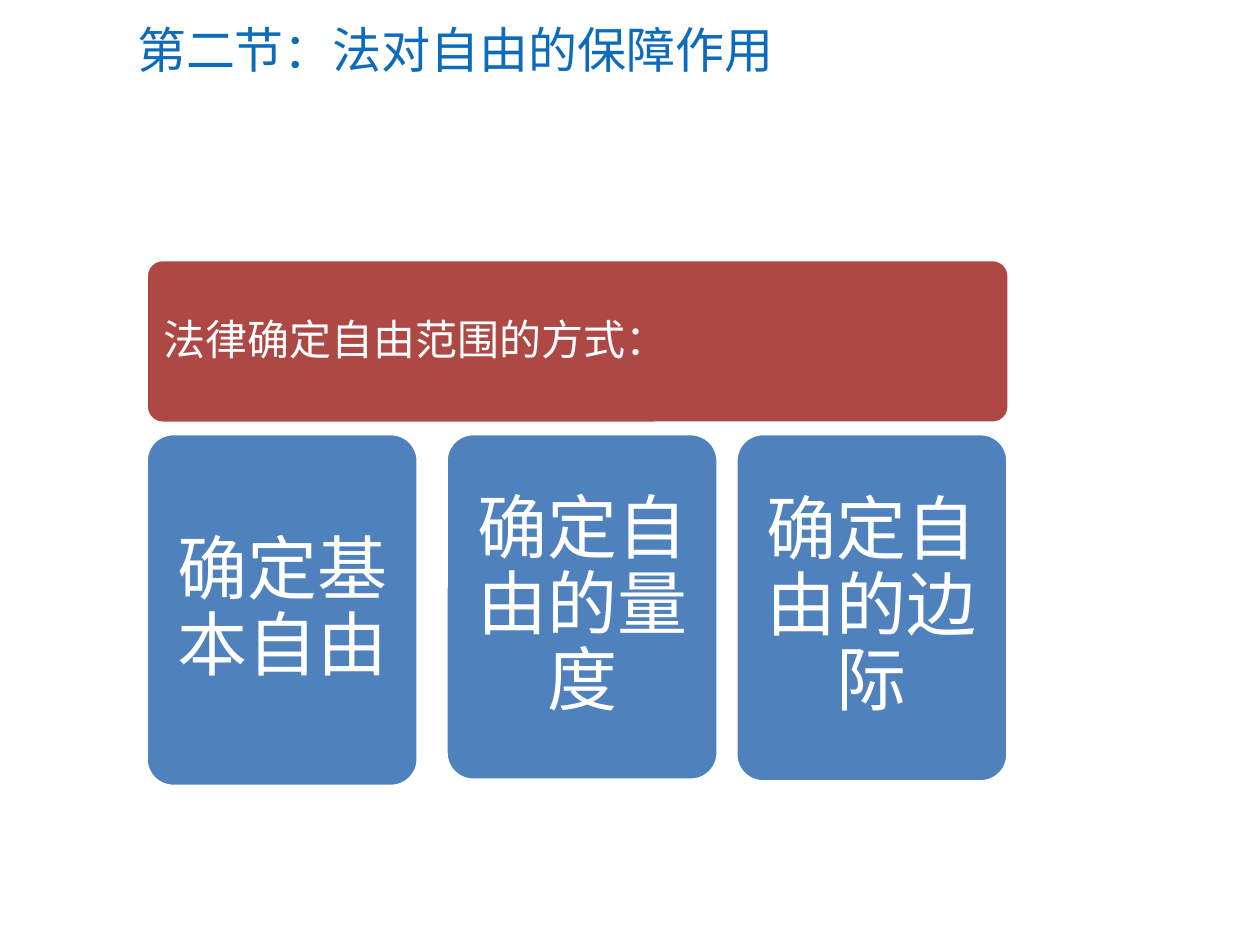
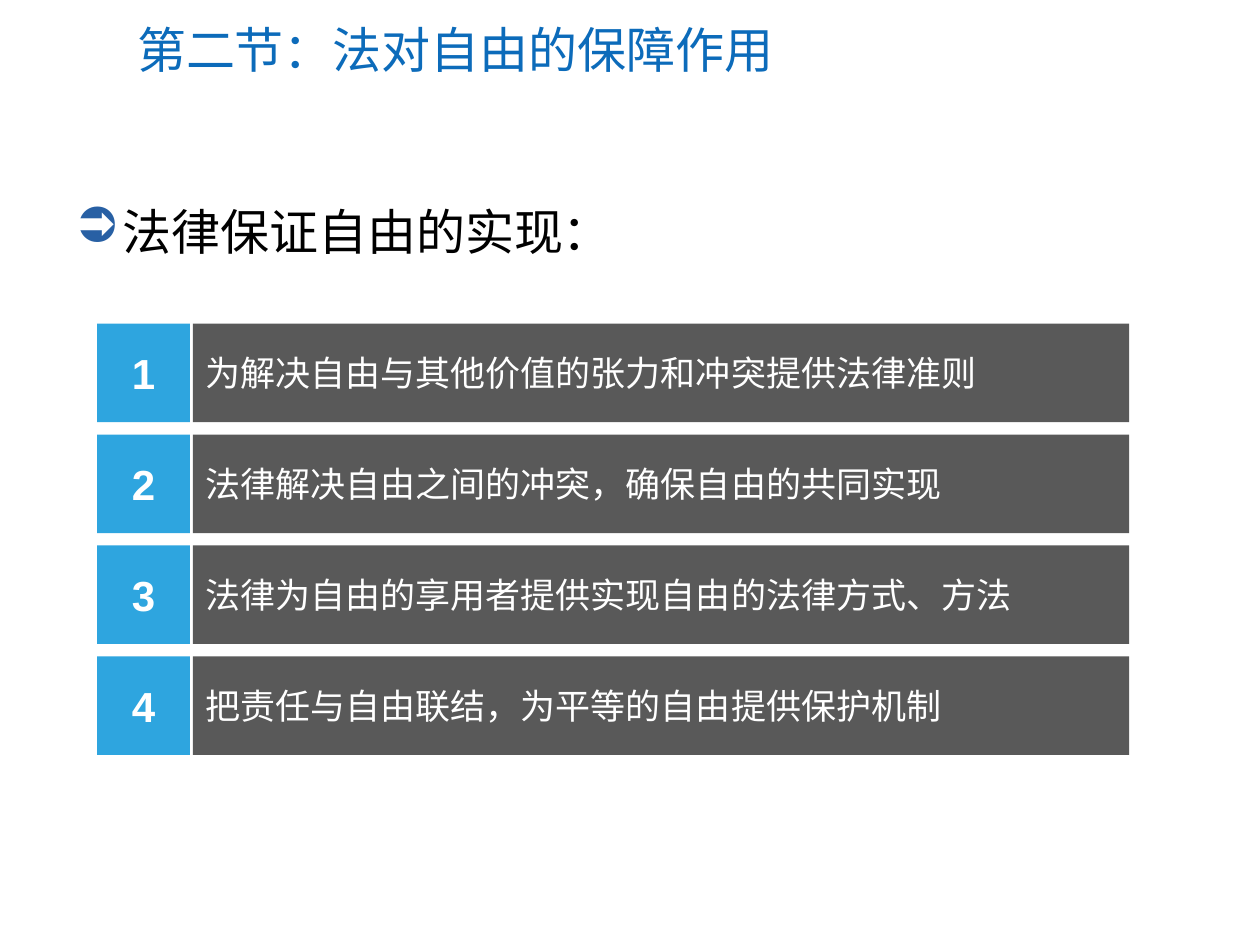
from dataclasses import dataclass

from lxml.etree import SubElement
from pptx import Presentation
from pptx.dml.color import RGBColor
from pptx.enum.shapes import MSO_SHAPE
from pptx.enum.text import MSO_ANCHOR, PP_ALIGN
from pptx.oxml.ns import qn
from pptx.util import Pt

TITLE = "第二节：法对自由的保障作用"
METHODS_HEAD = "法律确定自由范围的方式："
METHODS = [  # text, left, height
    ("确定基本自由", 83.5, 201.6),
    ("确定自由的量度", 254.9, 198),
    ("确定自由的边际", 420.5, 199),
]
GUARANTEES_HEAD = "法律保证自由的实现："
GUARANTEES = [
    "为解决自由与其他价值的张力和冲突提供法律准则",
    "法律解决自由之间的冲突，确保自由的共同实现",
    "法律为自由的享用者提供实现自由的法律方式、方法",
    "把责任与自由联结，为平等的自由提供保护机制",
]


@dataclass(frozen=True)
class Theme:
    font: str = "Calibri"
    number_font: str = "Arial"
    title: str = "0C6BBA"
    text: str = "000000"
    white: str = "FFFFFF"
    head: str = "AE4845"
    card: str = "4F81BD"
    number: str = "2EA5DF"
    bar: str = "595959"
    bullet: str = "2860A4"
    title_size: int = 28
    head_size: int = 24
    card_size: int = 40
    bar_size: int = 20


T = Theme()


def rgb(color):
    return RGBColor.from_string(color)


def write(s, text, size, color=T.white, font=T.font, bold=False, align=PP_ALIGN.LEFT,
          anchor=MSO_ANCHOR.MIDDLE, inset=None, spacing=None):
    tf = s.text_frame
    tf.word_wrap = True
    tf.vertical_anchor = anchor
    if inset is not None:
        tf.margin_left = tf.margin_right = tf.margin_top = tf.margin_bottom = Pt(inset)
    p = tf.paragraphs[0]
    p.alignment = align
    if spacing:
        p.line_spacing = spacing
    r = p.add_run()
    r.text = text
    r.font.size, r.font.name, r.font.bold = Pt(size), font, bold
    r.font.color.rgb = rgb(color)
    return p


def add_box(slide, box, fill, rounded=False):
    kind = MSO_SHAPE.ROUNDED_RECTANGLE if rounded else MSO_SHAPE.RECTANGLE
    s = slide.shapes.add_shape(kind, *map(Pt, box))
    s.shadow.inherit = False
    s.fill.solid()
    s.fill.fore_color.rgb = rgb(fill)
    if rounded:
        s.adjustments[0] = 0.1
        s.line.color.rgb = rgb(T.white)
        s.line.width = Pt(2)
    else:
        s.line.fill.background()
    return s


def add_text(slide, box, text, size, **style):
    return write(slide.shapes.add_textbox(*map(Pt, box)), text, size, **style)


def add_bullet(p, char, color, indent):
    pPr = p._p.get_or_add_pPr()
    pPr.set("marL", str(Pt(indent)))
    pPr.set("indent", str(-Pt(indent)))
    clr = SubElement(pPr, qn("a:buClr"))
    SubElement(clr, qn("a:srgbClr"), val=color)
    SubElement(pPr, qn("a:buChar"), char=char)


def add_titled_slide(prs):
    slide = prs.slides.add_slide(prs.slide_layouts[6])
    add_text(slide, (71.3, 7.2, 627.8, 41.8), TITLE, T.title_size, color=T.title)
    return slide


def build_methods(prs):
    slide = add_titled_slide(prs)
    head = add_box(slide, (83.5, 148.3, 493.2, 93.6), T.head, rounded=True)
    write(head, METHODS_HEAD, T.head_size, inset=7.2, spacing=0.9)
    for text, left, height in METHODS:
        card = add_box(slide, (left, 247.8, 155.5, height), T.card, rounded=True)
        write(card, text, T.card_size, align=PP_ALIGN.CENTER, inset=12, spacing=0.9)


def build_guarantees(prs):
    slide = add_titled_slide(prs)
    p = add_text(slide, (36, 111.6, 648, 52.6), GUARANTEES_HEAD, T.title_size,
                 color=T.text, anchor=MSO_ANCHOR.TOP)
    add_bullet(p, "➲", T.bullet, 27)
    top, pitch, height = 185, 63.35, 56.3
    for i, text in enumerate(GUARANTEES):
        y = top + i * pitch
        number = add_box(slide, (55.6, y, 53, height), T.number)
        write(number, str(i + 1), T.head_size, font=T.number_font, bold=True,
              align=PP_ALIGN.CENTER)
        write(add_box(slide, (110.2, y, 535, height), T.bar), text, T.bar_size)


def main():
    prs = Presentation()
    prs.slide_width, prs.slide_height = Pt(720), Pt(540)
    build_methods(prs)
    build_guarantees(prs)
    prs.save("out.pptx")


if __name__ == "__main__":
    main()
